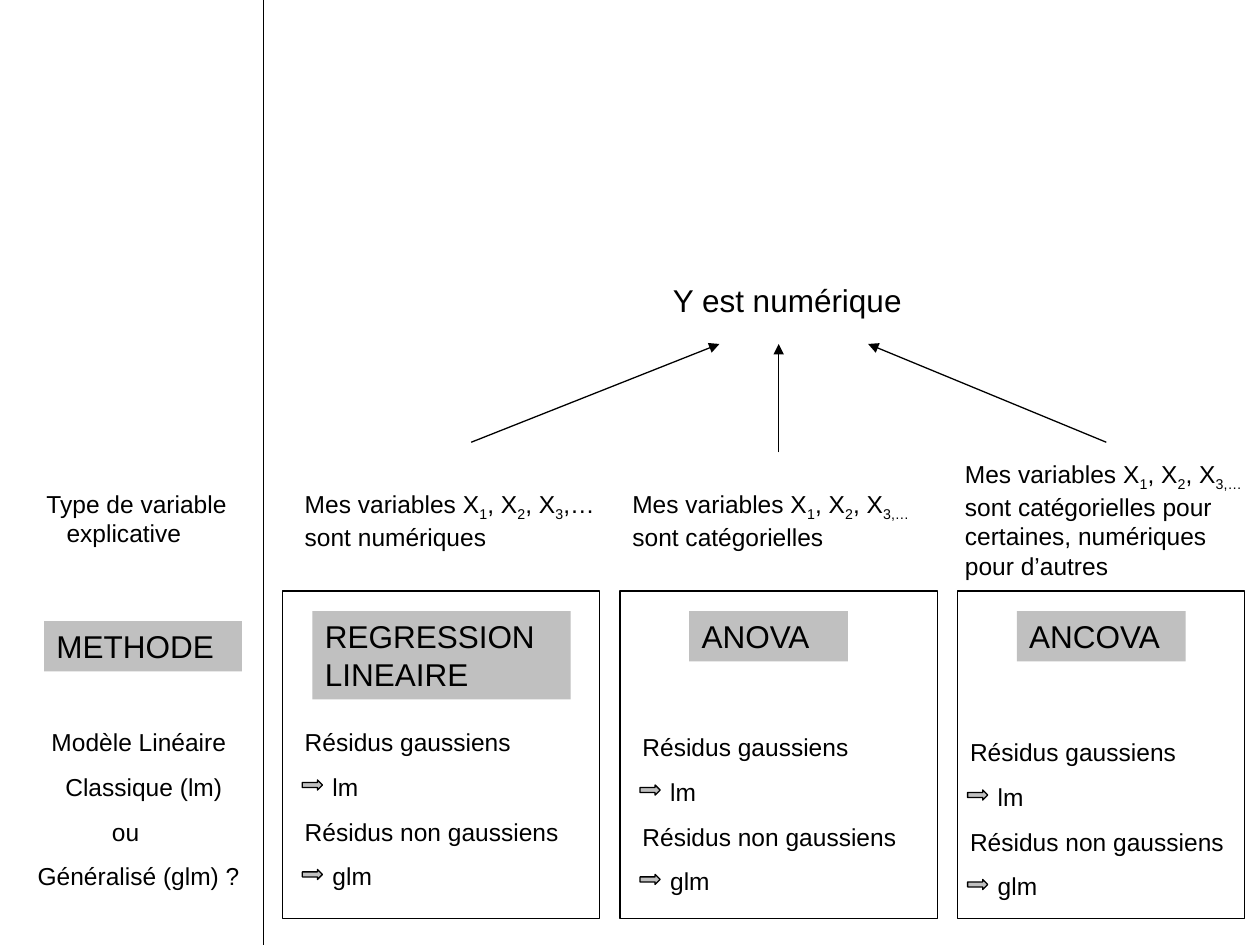
from lxml import etree
from pptx import Presentation
from pptx import util as u
from pptx.dml.color import RGBColor
from pptx.enum import shapes, text
from pptx.oxml import ns

BLACK = RGBColor(0, 0, 0)
GREY = RGBColor(0xC0, 0xC0, 0xC0)
WIDE, HIGH = u.Inches(10), u.Inches(7.5)
BIG, SMALL = 18, 14
LEFT, STEP = 22.4, 26.8

# Panel width, variables box (x, y, w, h), wording, label box (x, w, h),
# method, left of the residuals box
PANELS = [
    (25.2, (23.2, 51.07, 26, 8),
     "Mes variables X_1_, X_2_, X_3_,… sont numériques",
     (24.8, 20.5, 9.33), "REGRESSION LINEAIRE", 23.2),
    (25.2, (49.2, 51.07, 25.2, 8),
     "Mes variables X_1_, X_2_, X_3,…_ sont catégorielles",
     (54.7, 12.6, 5.33), "ANOVA", 50),
    (22.8, (75.6, 47.87, 24.4, 14.27),
     "Mes variables X_1_, X_2_, X_3,…_ sont catégorielles pour certaines, "
     "numériques pour d’autres",
     (80.7, 13.4, 5.33), "ANCOVA", 76),
]
BRANCHES = [(37.4, 46.8, 57.1), (61.8, 47.87, 61.8), (87.8, 46.8, 68.9)]


def across(share):
    return round(WIDE * share / 100)


def down(share):
    return round(HIGH * share / 100)


def area(x, y, w, h):
    """Turn percentages of the slide into a position and size."""
    return across(x), down(y), across(w), down(h)


def style(para, size):
    para.alignment = text.PP_ALIGN.LEFT
    para.font.name = "Arial"
    para.font.size = u.Pt(size)
    para.font.color.rgb = BLACK


def write(shape, lines, size, gap=0):
    """Fill a shape with (indent in inches, wording); _x_ is a subscript."""
    frame = shape.text_frame
    frame.word_wrap = True
    frame.auto_size = text.MSO_AUTO_SIZE.NONE
    frame.vertical_anchor = text.MSO_ANCHOR.TOP
    for i, (indent, words) in enumerate(lines):
        para = frame.add_paragraph() if i else frame.paragraphs[0]
        for j, part in enumerate(words.split("_")):
            run = para.add_run()
            run.text = part
            if j % 2:
                run._r.get_or_add_rPr().set("baseline", "-25000")
        if indent:
            para._p.get_or_add_pPr().set("marL", str(u.Inches(indent)))
        para.space_before = u.Pt(gap if i else 0)
        style(para, size)


def add_text(slide, box, lines, gap=0):
    write(slide.shapes.add_textbox(*area(*box)), lines, SMALL, gap)


def add_form(slide, kind, box, fill=None, edge=True):
    form = slide.shapes.add_shape(kind, *area(*box))
    form.shadow.inherit = False
    if fill is None:
        form.fill.background()
    else:
        form.fill.solid()
        form.fill.fore_color.rgb = fill
    if edge:
        form.line.color.rgb = BLACK
        form.line.width = u.Pt(0.75)
    else:
        form.line.fill.background()
    return form


def add_label(slide, box, words):
    form = add_form(slide, shapes.MSO_SHAPE.RECTANGLE, box, GREY, False)
    write(form, [(0, words)], BIG)


def add_line(slide, x1, y1, x2, y2, head=False):
    line = slide.shapes.add_connector(
        shapes.MSO_CONNECTOR.STRAIGHT,
        across(x1), down(y1), across(x2), down(y2))
    line.line.color.rgb = BLACK
    line.line.width = u.Pt(0.75)
    if head:
        edge = line.line._get_or_add_ln()
        etree.SubElement(edge, ns.qn("a:tailEnd"), type="triangle")
    etree.SubElement(line._element.spPr, ns.qn("a:effectLst"))


def add_tests(slide, x, y):
    """List the residual cases, each with an arrow to its model."""
    lines = [(0, "Résidus gaussiens"), (0.22, "lm"),
             (0, "Résidus non gaussiens"), (0.22, "glm")]
    add_text(slide, (x, y, 22.8, 18.67), lines, 8.8)
    for drop in (6.27, 15.73):
        add_form(slide, shapes.MSO_SHAPE.RIGHT_ARROW,
                 (x + 0.8, y + drop, 1.6, 1.07), GREY)


def add_title(slide, box, words):
    title = slide.shapes.title
    title.left, title.top, title.width, title.height = area(*box)
    write(title, [(0, words)], BIG)


def add_side(slide):
    """Name the rows to the left of the upright rule."""
    add_line(slide, 20.9, 0, 20.9, 100)
    add_text(slide, (2.7, 51.07, 16.5, 7.6),
             [(0, "Type de variable"), (0.16, "explicative")])
    add_label(slide, (3.5, 65.73, 15.7, 5.33), "METHODE")
    add_text(slide, (2, 76.27, 18.1, 18.67),
             [(0.11, "Modèle Linéaire"), (0.22, "Classique (lm)"),
              (0.59, "ou"), (0, "Généralisé (glm) ?")], 8.8)


def main():
    deck = Presentation()
    deck.slide_width, deck.slide_height = WIDE, HIGH
    slide = deck.slides.add_slide(deck.slide_layouts[5])
    add_title(slide, (52.4, 29.07, 20.5, 5.33), "Y est numérique")
    for x1, y1, x2 in BRANCHES:
        add_line(slide, x1, y1, x2, 36.4, head=True)
    for i, (width, box, words, label, method, tests) in enumerate(PANELS):
        add_text(slide, box, [(0, words)])
        add_form(slide, shapes.MSO_SHAPE.RECTANGLE,
                 (LEFT + i * STEP, 62.53, width, 34.67))
        x, w, h = label
        add_label(slide, (x, 64.67, w, h), method)
        add_tests(slide, tests, 76.27 + i * 0.53)
    add_side(slide)
    deck.save("out.pptx")


if __name__ == "__main__":
    main()
